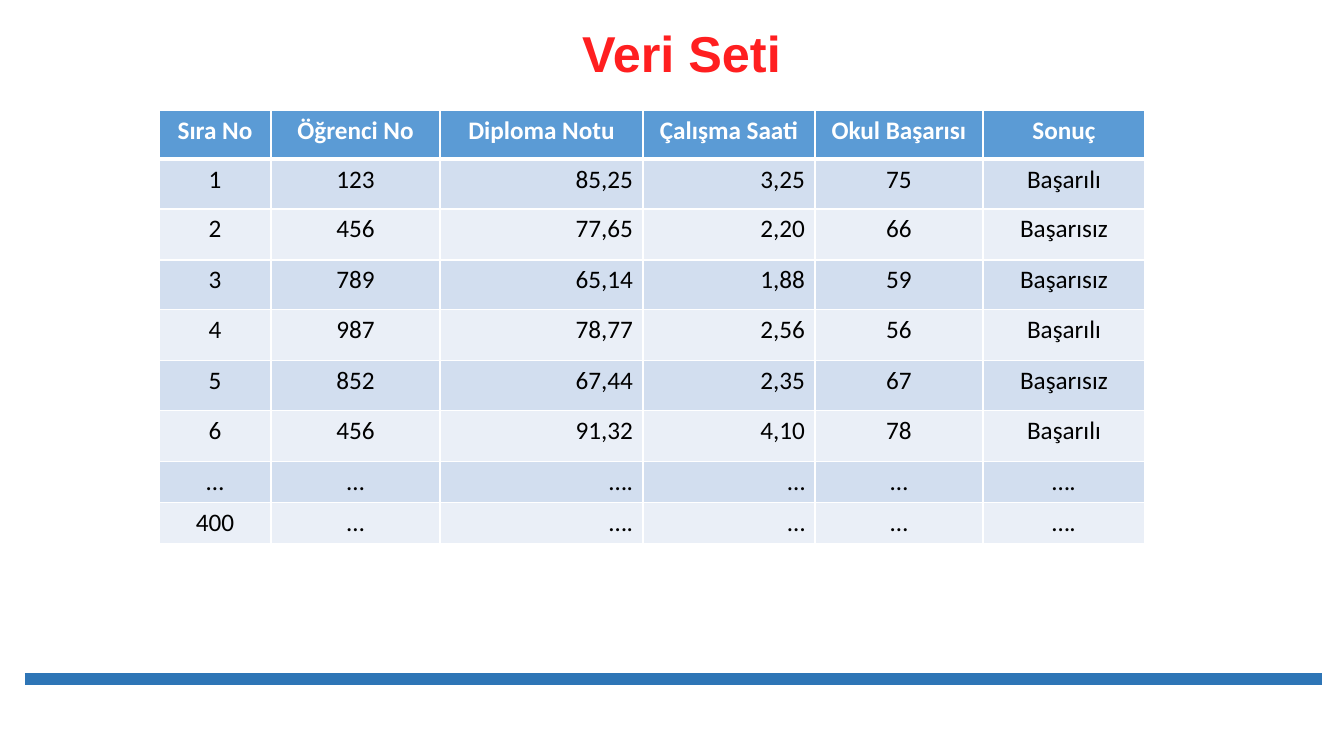
"""Build the "Veri Seti" slide: a title, a student data table and a footer rule."""
from lxml.etree import SubElement
from pptx import Presentation
from pptx.dml.color import RGBColor
from pptx.enum.shapes import MSO_CONNECTOR
from pptx.enum.text import MSO_ANCHOR, PP_ALIGN
from pptx.oxml.ns import qn
from pptx.util import Emu, Pt

RED = RGBColor(0xFF, 0x1F, 0x20)
WHITE = RGBColor(0xFF, 0xFF, 0xFF)
BLACK = RGBColor(0x00, 0x00, 0x00)
HEADER_BLUE = RGBColor(0x5B, 0x9B, 0xD5)
RULE_BLUE = RGBColor(0x2E, 0x75, 0xB6)
BANDS = [RGBColor(0xEA, 0xEF, 0xF7), RGBColor(0xD2, 0xDE, 0xEF)]

RECORDS = [
    ["Sıra No", "Öğrenci No", "Diploma Notu", "Çalışma Saati", "Okul Başarısı", "Sonuç"],
    ["1", "123", "85,25", "3,25", "75", "Başarılı"],
    ["2", "456", "77,65", "2,20", "66", "Başarısız"],
    ["3", "789", "65,14", "1,88", "59", "Başarısız"],
    ["4", "987", "78,77", "2,56", "56", "Başarılı"],
    ["5", "852", "67,44", "2,35", "67", "Başarısız"],
    ["6", "456", "91,32", "4,10", "78", "Başarılı"],
    ["…", "…", "….", "…", "…", "…."],
    ["400", "…", "….", "…", "…", "…."],
]
COLUMN_WIDTHS = [112, 169, 203, 172, 168, 162]
ROW_HEIGHTS = [49] + [50, 51] * 3 + [40, 40]
DECIMAL_COLUMNS = (2, 3)


def px(length):
    """Turn pixels into EMU."""
    return Emu(round(length * 914400 / 100.8))


def write(paragraph, text, align, **font_values):
    """Put one formatted run into a paragraph."""
    paragraph.alignment = align
    run = paragraph.add_run()
    run.text = text
    color = font_values.pop("color")
    for name, value in font_values.items():
        setattr(run.font, name, value)
    run.font.color.rgb = color


deck = Presentation()
deck.slide_width, deck.slide_height = px(1344), px(756)
slide = deck.slides.add_slide(deck.slide_layouts[5])

title = slide.shapes.title
title.left, title.top, title.width, title.height = px(217), px(23), px(929), px(66)
title.text_frame.word_wrap = True
title.text_frame.vertical_anchor = MSO_ANCHOR.MIDDLE
heading = title.text_frame.paragraphs[0]
heading.line_spacing = 0.9
write(heading, "Veri Seti", PP_ALIGN.CENTER,
      name="Arial", size=Pt(36), bold=True, color=RED)

footer_rule = slide.shapes.add_connector(
    MSO_CONNECTOR.STRAIGHT, px(25), px(679), px(1322), px(679))
footer_rule.line.color.rgb = RULE_BLUE
footer_rule.line.width = Pt(8)
SubElement(footer_rule._element.spPr, qn("a:effectLst"))

students = slide.shapes.add_table(
    len(RECORDS), len(COLUMN_WIDTHS), px(159), px(110),
    px(sum(COLUMN_WIDTHS)), px(sum(ROW_HEIGHTS))).table
for column, width in zip(students.columns, COLUMN_WIDTHS):
    column.width = px(width)
for row, height in zip(students.rows, ROW_HEIGHTS):
    row.height = px(height)

for row_index, record in enumerate(RECORDS):
    is_header = row_index == 0
    for column_index, text in enumerate(record):
        cell = students.cell(row_index, column_index)
        is_decimal = column_index in DECIMAL_COLUMNS and not is_header
        write(cell.text_frame.paragraphs[0], text,
              PP_ALIGN.RIGHT if is_decimal else PP_ALIGN.CENTER,
              name="Calibri", size=Pt(18), bold=is_header,
              color=WHITE if is_header else BLACK)
        border_points = {"L": 1, "R": 1, "T": 3 if row_index == 1 else 1,
                         "B": 3 if is_header else 1}
        for side, points in border_points.items():
            border = SubElement(cell._tc.get_or_add_tcPr(), qn(f"a:ln{side}"), w=str(Pt(points)))
            paint = SubElement(border, qn("a:solidFill"))
            SubElement(paint, qn("a:srgbClr"), val=str(WHITE))
        cell.fill.solid()
        cell.fill.fore_color.rgb = HEADER_BLUE if is_header else BANDS[row_index % 2]

deck.save("out.pptx")
